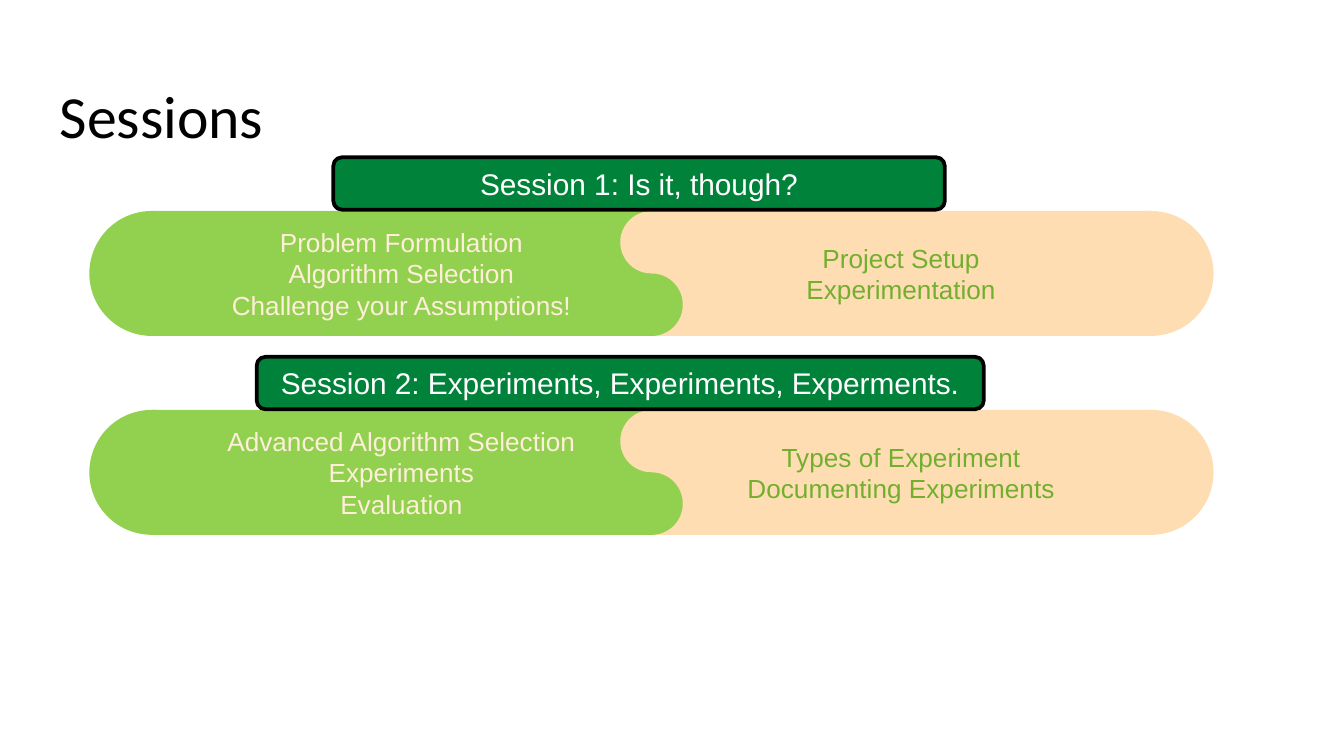
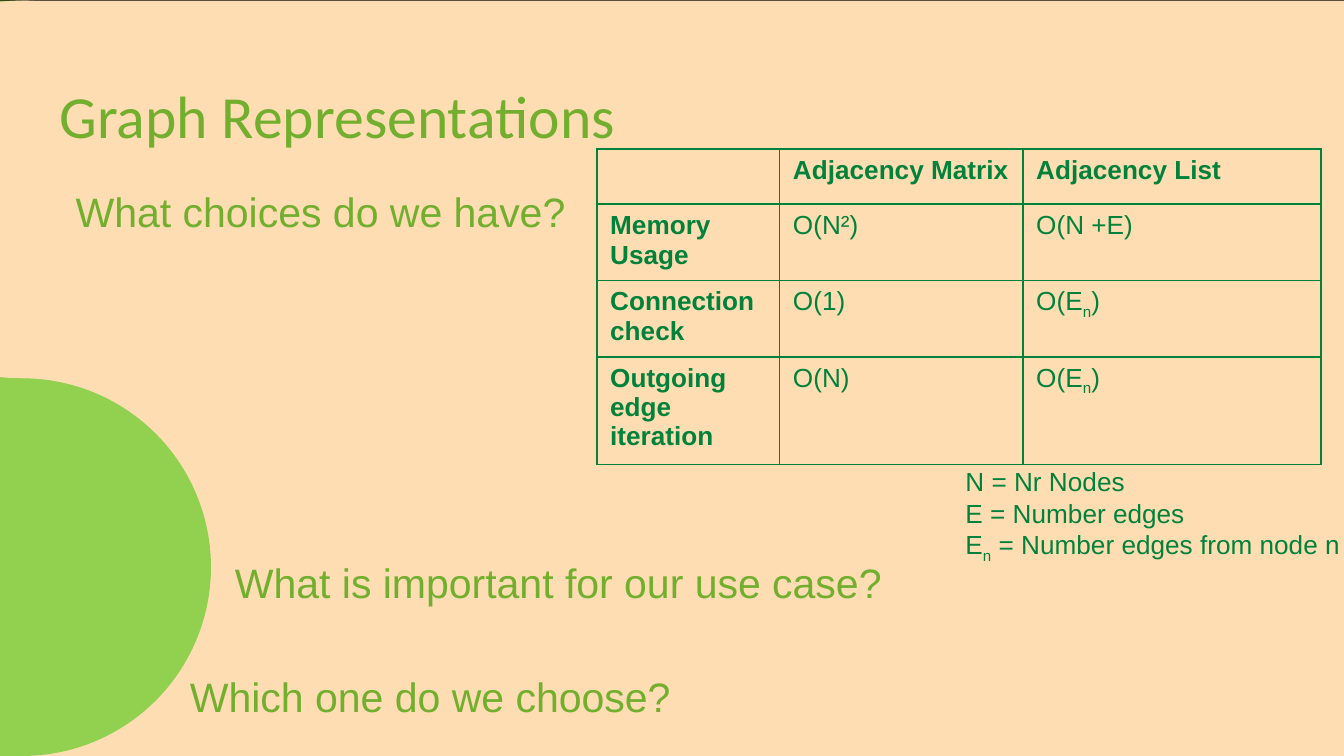
"""Build the sessions overview and the graph representation comparison."""
import dataclasses
import typing

import lxml.etree
import pptx
import pptx.dml.color
import pptx.enum.shapes
import pptx.enum.text
import pptx.oxml.ns
import pptx.shapes.autoshape
import pptx.shapes.shapetree
import pptx.slide
import pptx.text.text
import pptx.util

PX = 4572
WIDTH, HEIGHT = 2000, 1125
COLORS = {
    "black": "000000",
    "white": "FFFFFF",
    "cream": "FFEED9",
    "peach": "FFDDB3",
    "lime": "92D050",
    "leaf": "72AF2F",
    "forest": "00823B",
}
PRESET = pptx.enum.shapes.MSO_SHAPE
ALIGN = pptx.enum.text.PP_ALIGN
ANCHOR = pptx.enum.text.MSO_ANCHOR
Tree = pptx.shapes.shapetree.SlideShapes | pptx.shapes.shapetree.GroupShapes


@dataclasses.dataclass(frozen=True)
class Box:
    """Place and size in px."""
    left: int
    top: int
    width: int
    height: int

    def emu(self) -> tuple[int, int, int, int]:
        """Return the four lengths in EMU."""
        return self.left * PX, self.top * PX, self.width * PX, self.height * PX


@dataclasses.dataclass(frozen=True)
class Style:
    """Look of the text in one element."""
    size: int
    color: str
    font: str = "Arial"
    bold: bool = False
    align: ALIGN = ALIGN.LEFT


@dataclasses.dataclass(frozen=True)
class Span:
    """Run of text, possibly lowered."""
    text: str
    lowered: bool = False


@dataclasses.dataclass(frozen=True)
class Band:
    """Two-coloured band whose halves interlock at the middle."""
    left: int
    middle: int
    right: int
    top: int
    height: int
    capped: bool = False
    left_lines: tuple[str, ...] = ()
    right_lines: tuple[str, ...] = ()


@dataclasses.dataclass(frozen=True)
class Session:
    """Heading label and the band below it."""
    heading: str
    label: Box
    band: Band


@dataclasses.dataclass(frozen=True)
class Question:
    """Body question with its indent in px and gap above in points."""
    text: str
    indent: int
    gap: int


Line = str | tuple[Span, ...]

LABEL = Style(16, "white", align=ALIGN.CENTER)
LEFT_HALF = Style(14, "cream", align=ALIGN.CENTER)
RIGHT_HALF = Style(14, "leaf", align=ALIGN.CENTER)
QUESTION = Style(22, "leaf")
NOTE = Style(14, "forest")

SESSIONS = (
    Session(
        "Session 1: Is it, though?",
        Box(496, 234, 910, 78),
        Band(226, 969, 1713, 314, 186, True,
             ("Problem Formulation", "Algorithm Selection", "Challenge your Assumptions!"),
             ("Project Setup", "Experimentation")),
    ),
    Session(
        "Session 2: Experiments, Experiments, Experments.",
        Box(382, 531, 1082, 78),
        Band(226, 969, 1713, 610, 186, True,
             ("Advanced Algorithm Selection Experiments", "Evaluation"),
             ("Types of Experiment", "Documenting Experiments")),
    ),
)
QUESTIONS = (
    Question("What choices do we have?", 24, 0),
    Question("What is important for our use case?", 261, 168),
    Question("Which one do we choose?", 194, 31),
)
EDGES_OF_NODE = (Span("O(E"), Span("n", True), Span(")"))
COSTS: tuple[tuple[Line, ...], ...] = (
    ("", "Adjacency Matrix", "Adjacency List"),
    ("Memory Usage", "O(N²)", "O(N +E)"),
    ("Connection check", "O(1)", EDGES_OF_NODE),
    ("Outgoing edge iteration", "O(N)", EDGES_OF_NODE),
)
COST_COLUMNS = (272, 362, 444)
LEGEND: tuple[Line, ...] = (
    "N = Nr Nodes",
    "E = Number edges",
    (Span("E"), Span("n", True), Span(" = Number edges from node n")),
)


def rgb(name: str) -> pptx.dml.color.RGBColor:
    """Return a named colour."""
    return pptx.dml.color.RGBColor.from_string(COLORS[name])


def write(frame: pptx.text.text.TextFrame, lines: typing.Sequence[Line], style: Style) -> None:
    """Write one paragraph per line, run by run."""
    for index, line in enumerate(lines):
        para = frame.paragraphs[0] if index == 0 else frame.add_paragraph()
        para.alignment = style.align
        for part in (Span(line),) if isinstance(line, str) else line:
            span = para.add_run()
            span.text = part.text
            span.font.name = style.font
            span.font.size = pptx.util.Pt(style.size)
            span.font.bold = style.bold
            span.font.color.rgb = rgb(style.color)
            if part.lowered:
                span._r.get_or_add_rPr().set("baseline", "-25000")


def add_block(tree: Tree, preset: PRESET, box: Box, fill: str | None = None,
              line: str | None = None) -> pptx.shapes.autoshape.Shape:
    """Draw a preset shape with an optional fill and outline."""
    block = tree.add_shape(preset, *box.emu())
    block.shadow.inherit = False
    if fill:
        block.fill.solid()
        block.fill.fore_color.rgb = rgb(fill)
    else:
        block.fill.background()
    if line:
        block.line.color.rgb = rgb(line)
        block.line.width = pptx.util.Pt(2)
    else:
        block.line.fill.background()
    block.text_frame.word_wrap = True
    block.text_frame.vertical_anchor = ANCHOR.MIDDLE
    return block


def add_text(page: pptx.slide.Slide, box: Box, lines: typing.Sequence[Line], style: Style,
             inset: int = 10) -> pptx.text.text.TextFrame:
    """Draw a wrapping text box."""
    frame = page.shapes.add_textbox(*box.emu()).text_frame
    frame.word_wrap = True
    frame.margin_top = frame.margin_bottom = inset * PX
    write(frame, lines, style)
    return frame


def add_title(page: pptx.slide.Slide, text: str, color: str) -> None:
    """Draw the page title."""
    add_text(page, Box(69, 98, 1864, 126), (text,), Style(32, color, "Calibri"), 20)


def add_band(page: pptx.slide.Slide, band: Band) -> None:
    """Draw the interlocking band as one group."""
    tree = page.shapes.add_group_shape().shapes
    halves = (
        (band.left, band.middle, "lime", band.left_lines, LEFT_HALF),
        (band.middle, band.right, "peach", band.right_lines, RIGHT_HALF),
    )
    for start, end, fill, lines, style in halves:
        half = add_block(tree, PRESET.RECTANGLE,
                         Box(start, band.top, end - start, band.height), fill)
        write(half.text_frame, lines, style)
    knob = band.height // 2
    circles = [
        (band.middle - knob // 2, band.top, knob, "peach"),
        (band.middle - knob // 2, band.top + knob, knob, "lime"),
    ]
    if band.capped:
        circles += [
            (band.right - knob, band.top, band.height, "peach"),
            (band.left - knob, band.top, band.height, "lime"),
        ]
    for left, top, size, fill in circles:
        add_block(tree, PRESET.OVAL, Box(left, top, size, size), fill)


def add_costs(page: pptx.slide.Slide) -> None:
    """Draw the table of costs with a thin grid."""
    box = Box(888, 222, sum(COST_COLUMNS), 82 * len(COSTS))
    table = page.shapes.add_table(len(COSTS), len(COST_COLUMNS), *box.emu()).table
    table.first_row = table.horz_banding = False
    for column, width in zip(table.columns, COST_COLUMNS):
        column.width = width * PX
    for row, costs in enumerate(COSTS):
        for column, cost in enumerate(costs):
            cell = table.cell(row, column)
            add_borders(cell._tc.get_or_add_tcPr())
            cell.fill.background()
            if cost:
                heading = row == 0 or column == 0
                write(cell.text_frame, (cost,), dataclasses.replace(NOTE, bold=heading))


def add_borders(properties: lxml.etree._Element) -> None:
    """Give a table cell its four borders."""
    for side in ("a:lnL", "a:lnR", "a:lnT", "a:lnB"):
        border = lxml.etree.SubElement(properties, pptx.oxml.ns.qn(side), w="12700")
        fill = lxml.etree.SubElement(border, pptx.oxml.ns.qn("a:solidFill"))
        lxml.etree.SubElement(fill, pptx.oxml.ns.qn("a:srgbClr"), val=COLORS["forest"])


def add_questions(page: pptx.slide.Slide) -> None:
    """Draw the body questions with their indents and gaps."""
    texts = [question.text for question in QUESTIONS]
    frame = add_text(page, Box(69, 247, 1931, 860), texts, QUESTION, 20)
    for para, question in zip(frame.paragraphs, QUESTIONS):
        para.line_spacing = 1.15
        para.space_before = pptx.util.Pt(question.gap)
        para._p.get_or_add_pPr().set("marL", str(question.indent * PX))


def build_sessions(page: pptx.slide.Slide) -> None:
    """Build the overview of both sessions."""
    add_title(page, "Sessions", "black")
    for session in SESSIONS:
        add_band(page, session.band)
    for session in SESSIONS:
        label = add_block(page.shapes, PRESET.ROUNDED_RECTANGLE, session.label, "forest", "black")
        write(label.text_frame, (session.heading,), LABEL)


def build_representations(page: pptx.slide.Slide) -> None:
    """Build the comparison of graph representations."""
    add_block(page.shapes, PRESET.RECTANGLE, Box(0, 0, WIDTH, HEIGHT), line="black")
    add_band(page, Band(-2136, 33, 2118, 1, HEIGHT - 1))
    add_title(page, "Graph Representations", "leaf")
    add_questions(page)
    add_costs(page)
    legend = add_text(page, Box(1417, 683, 878, 162), LEGEND, NOTE)
    legend.auto_size = pptx.enum.text.MSO_AUTO_SIZE.SHAPE_TO_FIT_TEXT


def main() -> None:
    """Build and save the deck."""
    deck = pptx.Presentation()
    deck.slide_width, deck.slide_height = WIDTH * PX, HEIGHT * PX
    for build in (build_sessions, build_representations):
        build(deck.slides.add_slide(deck.slide_layouts[6]))
    deck.save("out.pptx")


if __name__ == "__main__":
    main()
